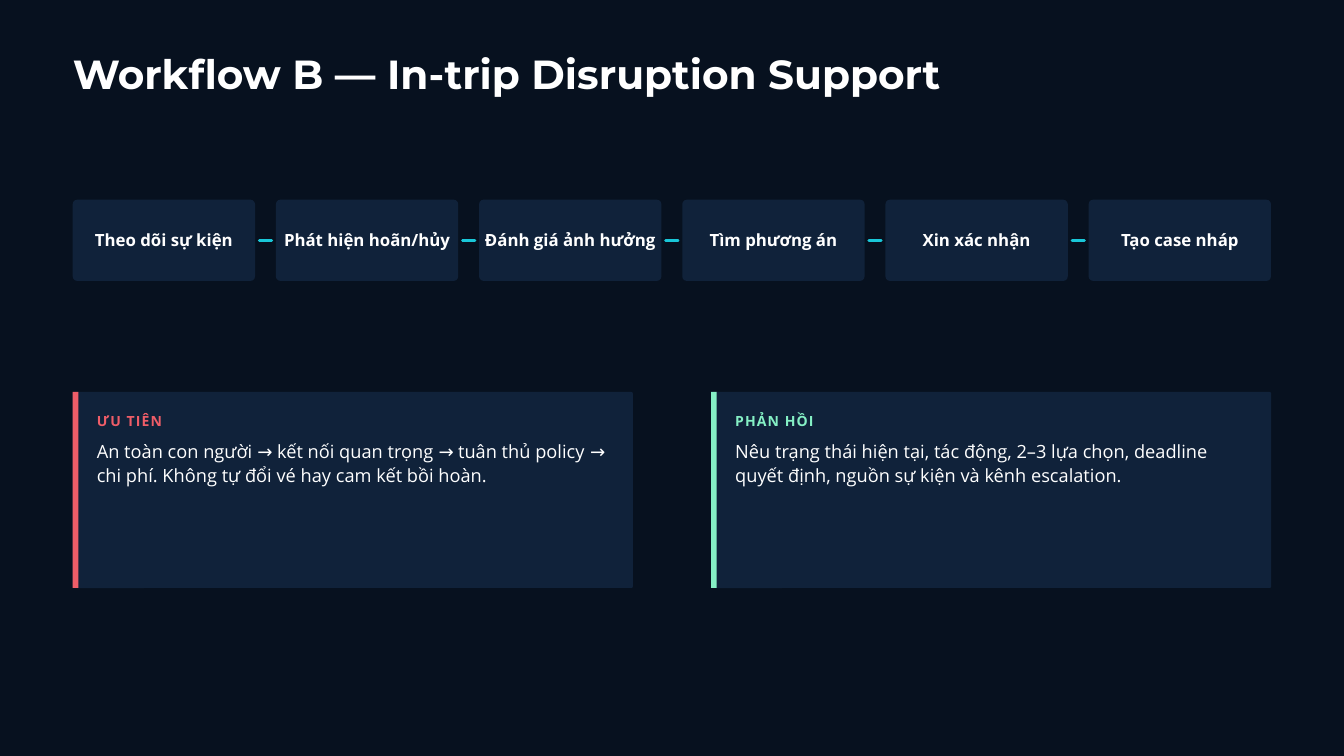
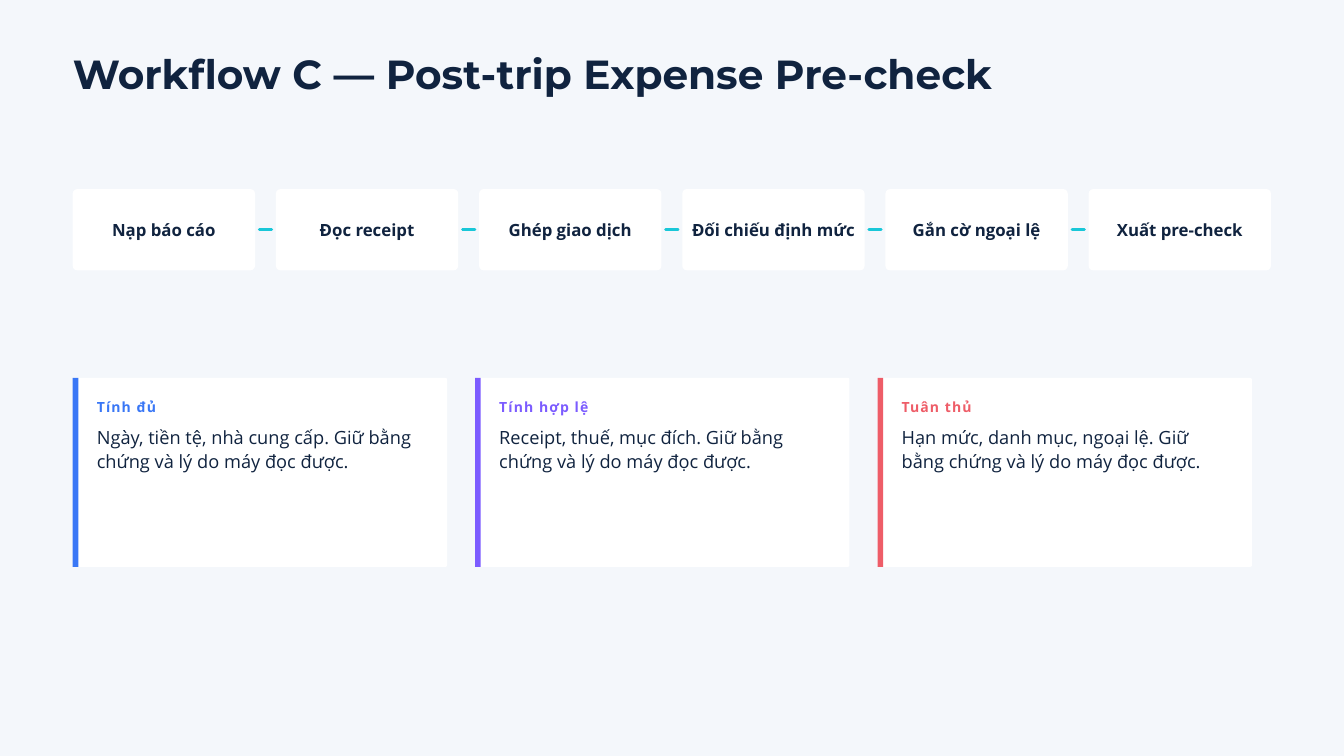
from pptx import Presentation
from pptx.dml.color import RGBColor
from pptx.enum.shapes import MSO_CONNECTOR, MSO_SHAPE
from pptx.enum.text import MSO_ANCHOR, MSO_AUTO_SIZE, PP_ALIGN
from pptx.oxml.ns import qn
from pptx.util import Cm, Pt
from lxml import etree

RECTANGLE, ROUNDED = MSO_SHAPE.RECTANGLE, MSO_SHAPE.ROUNDED_RECTANGLE
STRAIGHT = MSO_CONNECTOR.STRAIGHT
LEFT, CENTER = PP_ALIGN.LEFT, PP_ALIGN.CENTER
TOP, MIDDLE = MSO_ANCHOR.TOP, MSO_ANCHOR.MIDDLE

COLORS = {
    "night": "07111F", "panel": "10223A", "mist": "F4F7FB", "white": "FFFFFF",
    "navy": "10233F", "cyan": "19C7D8", "red": "EE5D68", "mint": "85F0C5",
    "blue": "3977F6", "violet": "7C5CFF",
}
STYLES = {
    "title": {"name": "Montserrat", "size": Pt(43.5), "bold": True},
    "step": {"name": "Open Sans", "size": Pt(18), "bold": True},
    "label": {"name": "Open Sans", "size": Pt(15), "bold": True},
    "body": {"name": "Open Sans", "size": Pt(19.5), "bold": False},
}
LINE_SPACING = {"title": 45.2, "step": 20.7, "label": 21, "body": 26.3}

# All layout lengths are in centimetres
MARGIN, CONTENT_WIDTH = 2.75, 45.3
STEP_WIDTH, STEP_HEIGHT, STEP_PITCH = 6.89, 3.07, 7.68
LINK_GAP = 0.16
BAR_WIDTH = 0.21
CARD_PADDING = 0.91

SLIDES = [
    {
        "title": "Workflow B — In-trip Disruption Support",
        "background": "night", "panel": "panel", "ink": "white",
        "steps_top": 7.55,
        "steps": ["Theo dõi sự kiện", "Phát hiện hoãn/hủy", "Đánh giá ảnh hưởng",
                  "Tìm phương án", "Xin xác nhận", "Tạo case nháp"],
        "cards_top": 14.82, "card_width": 21.17, "card_height": 7.41, "card_pitch": 24.13,
        "cards": [
            ("red", "ƯU TIÊN",
             "An toàn con người → kết nối quan trọng → tuân thủ policy → chi phí. "
             "Không tự đổi vé hay cam kết bồi hoàn."),
            ("mint", "PHẢN HỒI",
             "Nêu trạng thái hiện tại, tác động, 2–3 lựa chọn, deadline quyết định, "
             "nguồn sự kiện và kênh escalation."),
        ],
    },
    {
        "title": "Workflow C — Post-trip Expense Pre-check",
        "background": "mist", "panel": "white", "ink": "navy",
        "steps_top": 7.15,
        "steps": ["Nạp báo cáo", "Đọc receipt", "Ghép giao dịch",
                  "Đối chiếu định mức", "Gắn cờ ngoại lệ", "Xuất pre-check"],
        "cards_top": 14.29, "card_width": 14.15, "card_height": 7.14, "card_pitch": 15.21,
        "cards": [
            ("blue", "Tính đủ",
             "Ngày, tiền tệ, nhà cung cấp. Giữ bằng chứng và lý do máy đọc được."),
            ("violet", "Tính hợp lệ",
             "Receipt, thuế, mục đích. Giữ bằng chứng và lý do máy đọc được."),
            ("red", "Tuân thủ",
             "Hạn mức, danh mục, ngoại lệ. Giữ bằng chứng và lý do máy đọc được."),
        ],
    },
]


def add_panel(slide, kind, left, top, width, height, color, radius=0):
    """Add a flat filled shape; radius is the corner share of the shorter side."""
    shape = slide.shapes.add_shape(kind, Cm(left), Cm(top), Cm(width), Cm(height))
    shape.shadow.inherit = False
    shape.fill.solid()
    shape.fill.fore_color.rgb = RGBColor.from_string(COLORS[color])
    shape.line.fill.background()
    if kind == ROUNDED:
        shape.adjustments[0] = radius
    return shape


def write_text(shape, text, style, color, align=LEFT, anchor=TOP, inset=0):
    frame = shape.text_frame
    frame_format = {
        "word_wrap": True, "auto_size": MSO_AUTO_SIZE.NONE, "vertical_anchor": anchor,
        "margin_left": Cm(inset), "margin_right": Cm(inset),
        "margin_top": Cm(inset), "margin_bottom": Cm(inset),
    }
    for name, value in frame_format.items():
        setattr(frame, name, value)
    paragraph = frame.paragraphs[0]
    paragraph.alignment = align
    paragraph.line_spacing = Pt(LINE_SPACING[style])
    run = paragraph.add_run()
    run.text = text
    for name, value in STYLES[style].items():
        setattr(run.font, name, value)
    run.font.color.rgb = RGBColor.from_string(COLORS[color])
    if style == "label":
        run._r.get_or_add_rPr().set("spc", "120")


presentation = Presentation()
presentation.slide_width = Cm(50.8)
presentation.slide_height = Cm(28.58)
title_only = presentation.slide_layouts[5]

for content in SLIDES:
    slide = presentation.slides.add_slide(title_only)
    slide.background.fill.solid()
    slide.background.fill.fore_color.rgb = RGBColor.from_string(COLORS[content["background"]])
    ink, panel = content["ink"], content["panel"]

    title = slide.shapes.title
    title.left, title.top = Cm(MARGIN), Cm(2.08)
    title.width, title.height = Cm(CONTENT_WIDTH), Cm(1.65)
    write_text(title, content["title"], "title", ink)

    steps_top = content["steps_top"]
    for index, step in enumerate(content["steps"]):
        left = MARGIN + index * STEP_PITCH
        box = add_panel(slide, ROUNDED, left, steps_top, STEP_WIDTH, STEP_HEIGHT, panel, 0.055)
        write_text(box, step, "step", ink, CENTER, MIDDLE, 0.1)
        if index:
            middle = Cm(steps_top + STEP_HEIGHT / 2)
            link = slide.shapes.add_connector(
                STRAIGHT, Cm(left - STEP_PITCH + STEP_WIDTH + LINK_GAP), middle,
                Cm(left - LINK_GAP), middle)
            link.line.width = Pt(3)
            link.line.color.rgb = RGBColor.from_string(COLORS["cyan"])
            properties = link.element.spPr
            properties.find(qn("a:ln")).set("cap", "rnd")
            etree.SubElement(properties, qn("a:effectLst"))

    top, width, height = content["cards_top"], content["card_width"], content["card_height"]
    for index, (accent, label, body) in enumerate(content["cards"]):
        left = MARGIN + index * content["card_pitch"]
        add_panel(slide, ROUNDED, left, top, width, height, panel, 0.008)
        add_panel(slide, RECTANGLE, left, top, BAR_WIDTH, height, accent)
        for text, style, color, offset, text_height in [
            (label, "label", accent, 0.68, 0.69),
            (body, "body", ink, 1.72, 1.83),
        ]:
            text_box = slide.shapes.add_textbox(
                Cm(left + CARD_PADDING), Cm(top + offset),
                Cm(width - 2 * CARD_PADDING), Cm(text_height))
            write_text(text_box, text, style, color)

presentation.save("out.pptx")
